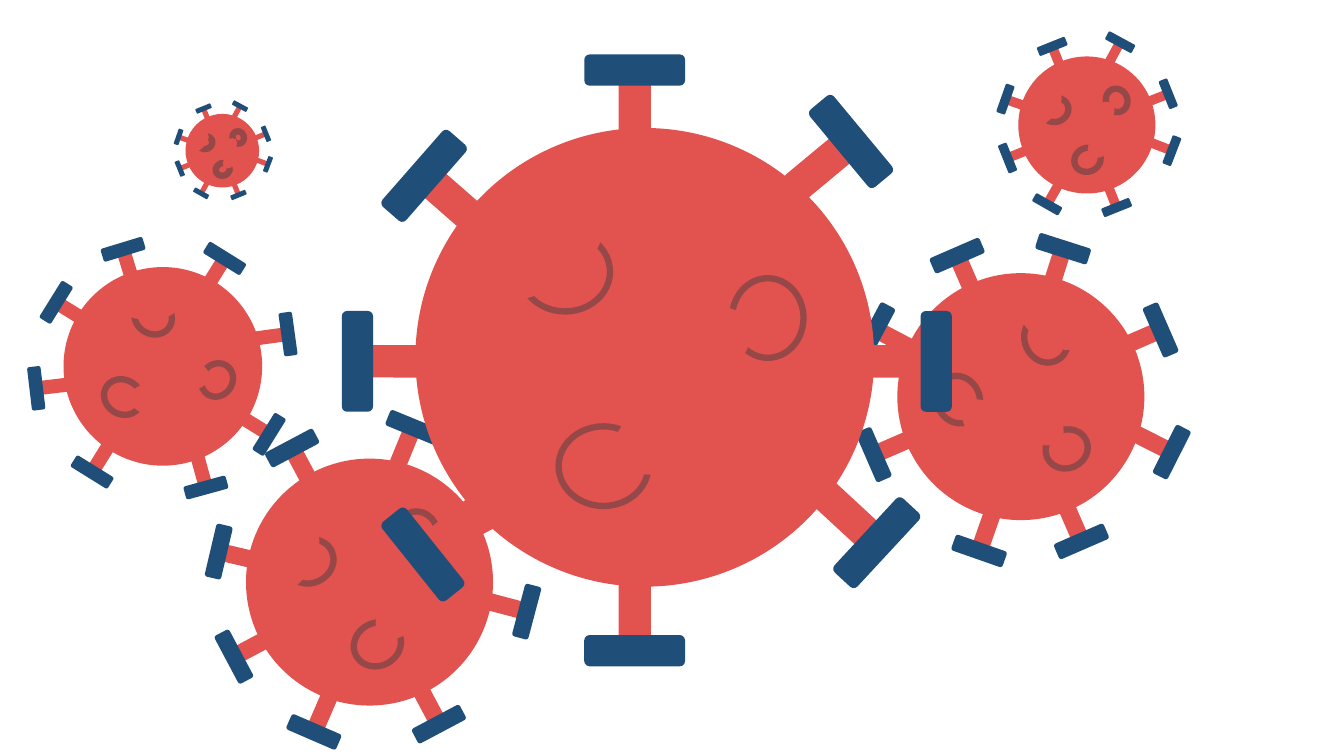
"""Build a slide of six virus particles, all scaled and turned from one pattern."""
import math
from dataclasses import dataclass

import pptx
import pptx.dml.color
import pptx.enum.shapes
import pptx.util

Inches = pptx.util.Inches
MSO_SHAPE = pptx.enum.shapes.MSO_SHAPE


@dataclass(frozen=True)
class Theme:
    body: str = "E2524E"
    tip: str = "1F4E79"
    ring: str = "964848"
    ring_width: float = 4.5


BODY_SIZE = 4.55
STEM_SIZE = (0.32, 0.69)
TIP_SIZE = (0.31, 1)
STEM_TO_TIP = 0.41
MASK_SIZE = (1.49, 0.79)
MASK_TURN = 333.8

SPIKES = [
    (-1.88, -1.53, 311.2),
    (-2.44, 0.04, 270),
    (-1.88, 1.7, 231.4),
    (2.48, 0.04, 90),
    (-0.1, -2.44, 0),
    (-0.1, 2.5, 180),
    (2, 1.56, 132.8),
    (1.73, -1.88, 50.3),
]
RINGS = [
    (-0.79, -0.85, (0.89, 0.79)),
    (-0.41, 1.08, (0.89, 0.79)),
    (1.22, -0.39, (0.71, 0.79)),
]
MASKS = [(-1.11, -1.03), (0.37, -0.02), (0.38, 0.68)]

VIRUSES = [
    (2.44, 4.55, 2.45, 332),
    (8.9, 2.71, 2.45, 66.5),
    (4.12, 1.27, 4.55, 0),
    (1.84, 1.13, 0.73, 338),
    (10.1, 0.56, 1.36, 338.2),
    (0.63, 2.65, 1.97, 31.8),
]


class VirusSlide:
    def __init__(self, slide, theme):
        self.slide = slide
        self.theme = theme

    def piece(self, virus, preset, offset, size, turn, fill, outline=None):
        group, (center_x, center_y), scale, virus_turn = virus
        angle = math.radians(virus_turn)
        x, y = offset
        width, height = (scale * side for side in size)
        left = center_x + scale * (x * math.cos(angle) - y * math.sin(angle)) - width / 2
        top = center_y + scale * (x * math.sin(angle) + y * math.cos(angle)) - height / 2
        shape = group.shapes.add_shape(
            preset, Inches(left), Inches(top), Inches(width), Inches(height))
        shape.rotation = (turn + virus_turn) % 360
        shape.shadow.inherit = False
        shape.fill.solid()
        shape.fill.fore_color.rgb = pptx.dml.color.RGBColor.from_string(fill)
        if outline:
            shape.line.color.rgb = pptx.dml.color.RGBColor.from_string(outline)
            shape.line.width = pptx.util.Pt(self.theme.ring_width)
        else:
            shape.line.fill.background()

    def oval(self, virus, offset, size, turn=0, outline=None):
        self.piece(virus, MSO_SHAPE.OVAL, offset, size, turn, self.theme.body, outline)

    def spike(self, virus, x, y, turn):
        angle = math.radians(turn)
        tip = (x + STEM_TO_TIP * math.sin(angle), y - STEM_TO_TIP * math.cos(angle))
        bar = MSO_SHAPE.ROUNDED_RECTANGLE
        self.piece(virus, bar, (x, y), STEM_SIZE, turn, self.theme.body)
        self.piece(virus, bar, tip, TIP_SIZE, turn + 90, self.theme.tip)

    def virus(self, left, top, diameter, turn):
        center = (left + diameter / 2, top + diameter / 2)
        virus = (self.slide.shapes.add_group_shape(), center, diameter / BODY_SIZE, turn)
        self.oval(virus, (0, 0), (BODY_SIZE, BODY_SIZE))
        for x, y, spike_turn in SPIKES:
            self.spike(virus, x, y, spike_turn)
        for x, y, size in RINGS:
            self.oval(virus, (x, y), size, outline=self.theme.ring)
        for offset in MASKS:
            self.oval(virus, offset, MASK_SIZE, MASK_TURN)


deck = pptx.Presentation()
deck.slide_width = Inches(13.33)
deck.slide_height = Inches(7.5)
blank_layout = deck.slide_layouts.get_by_name("Blank")
scene = VirusSlide(deck.slides.add_slide(blank_layout), Theme())
for placement in VIRUSES:
    scene.virus(*placement)
deck.save("out.pptx")
